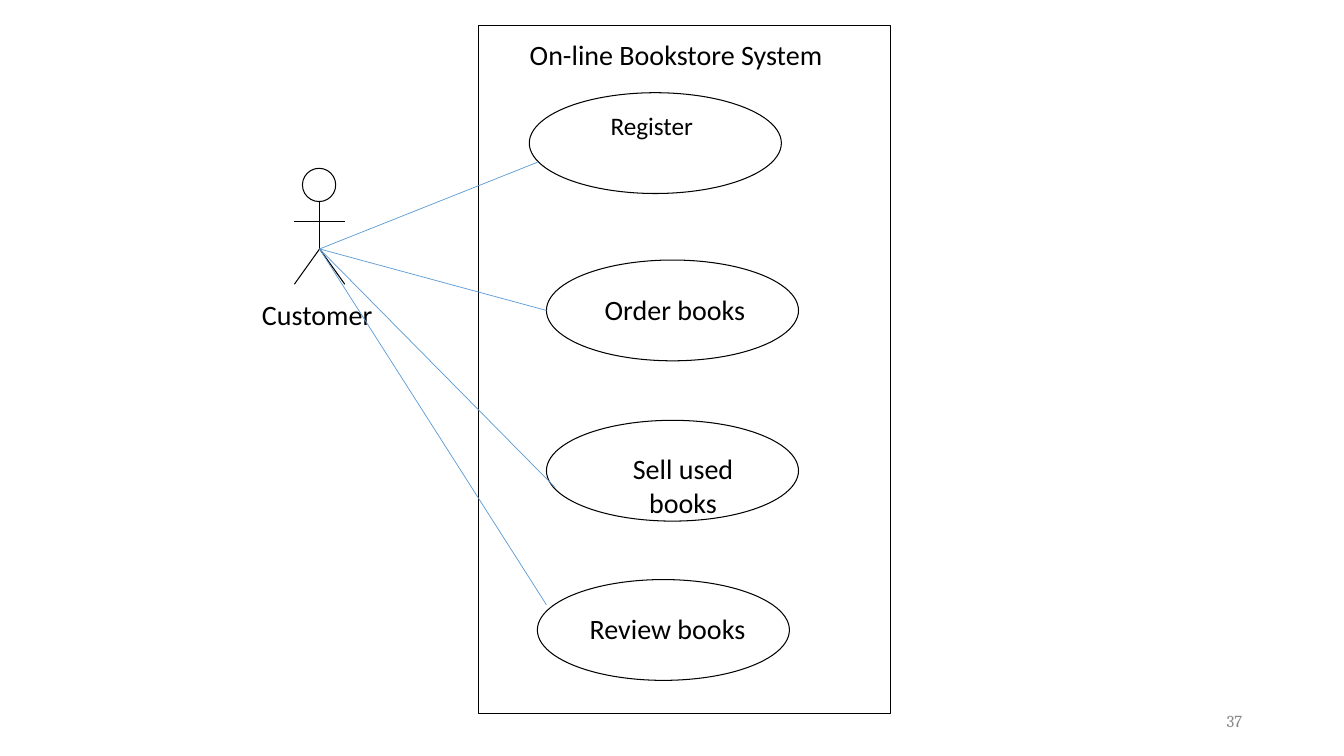
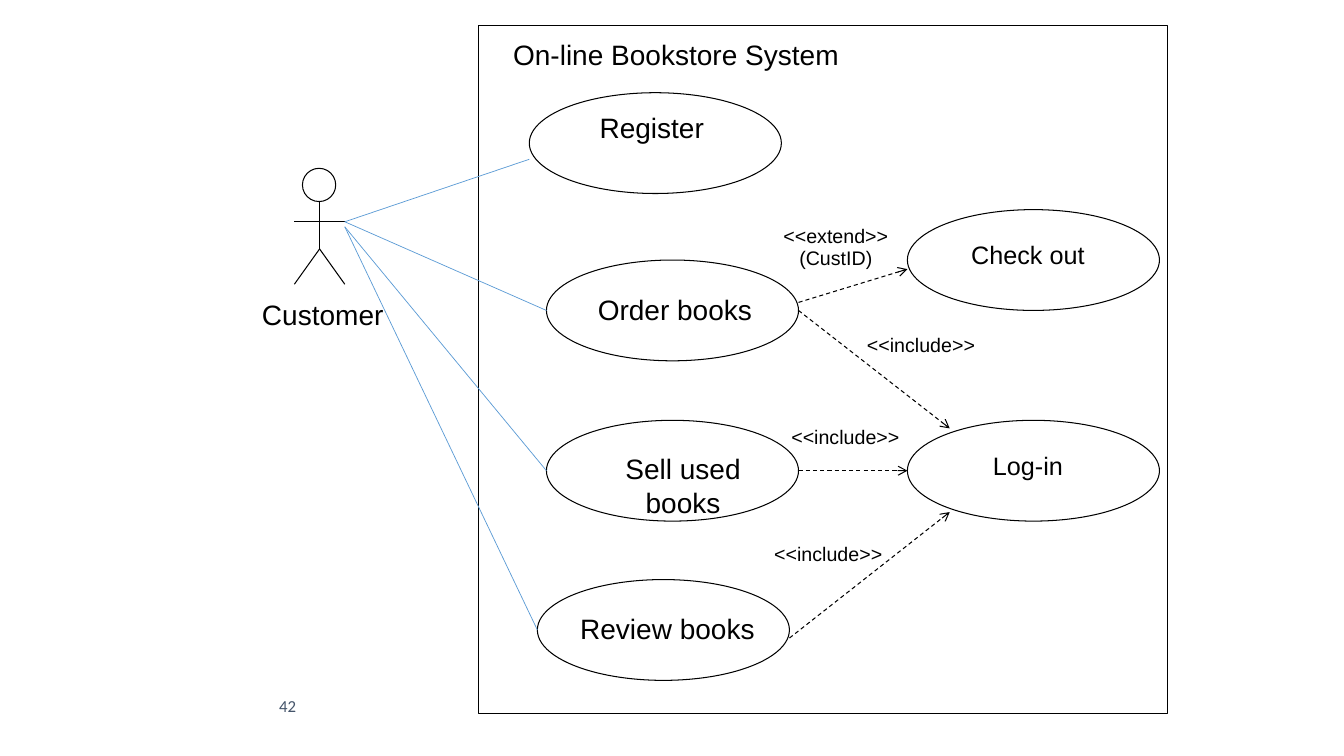
"""Build two use case diagrams of an on-line bookstore."""
from lxml.etree import SubElement
from pptx import Presentation
from pptx.dml.color import RGBColor
from pptx.enum.dml import MSO_LINE
from pptx.enum.shapes import MSO_CONNECTOR, MSO_SHAPE
from pptx.enum.text import MSO_ANCHOR, MSO_AUTO_SIZE, PP_ALIGN
from pptx.oxml.ns import qn
from pptx.util import Inches, Pt

COLOURS = {"ink": "000000", "link": "5B9BD5", "grey": "898989", "slate": "44546A"}
CASE_SIZE = (2.5, 1)
BODY = [
    ((3.17, 1.99), (3.17, 2.47)),
    ((3.17, 2.47), (2.92, 2.82)),
    ((3.17, 2.47), (3.42, 2.82)),
    ((2.92, 2.2), (3.42, 2.2)),
]
CASES = [
    ("Order books", (5.42, 2.58), (5.81, 2.85, 1.77, 0.44)),
    ("Sell used books", (5.42, 4.17), (5.89, 4.43, 1.77, 0.77)),
    ("Review books", (5.33, 5.75), (5.58, 6.02, 2.08, 0.44)),
]


def set_values(target, values):
    for name, value in values.items():
        setattr(target, name, value)


class Diagram:
    def __init__(self, presentation, font):
        self.slide = presentation.slides.add_slide(presentation.slide_layouts[6])
        self.font = font

    def text(self, lines, box, size=20, colour="ink", font=None,
             align=PP_ALIGN.CENTER, frame_format=None, spacing=None):
        shape = self.slide.shapes.add_textbox(*map(Inches, box))
        frame = shape.text_frame
        set_values(frame, {"word_wrap": True, "auto_size": MSO_AUTO_SIZE.SHAPE_TO_FIT_TEXT,
                           **(frame_format or {})})
        frame.text = lines
        for paragraph in frame.paragraphs:
            set_values(paragraph, {"alignment": align, **(spacing or {})})
            set_values(paragraph.font, {"name": font or self.font, "size": Pt(size)})
            paragraph.font.color.rgb = RGBColor.from_string(COLOURS[colour])
        return frame

    def outline(self, kind, box, shapes=None):
        shapes = shapes or self.slide.shapes
        shape = shapes.add_shape(kind, *map(Inches, box))
        shape.shadow.inherit = False
        shape.fill.background()
        shape.line.color.rgb = RGBColor.from_string(COLOURS["ink"])
        shape.line.width = Pt(0.75)

    def line(self, start, end, colour="ink", width=0.75, shapes=None):
        shapes = shapes or self.slide.shapes
        connector = shapes.add_connector(MSO_CONNECTOR.STRAIGHT, *map(Inches, start + end))
        connector.line.color.rgb = RGBColor.from_string(COLOURS[colour])
        connector.line.width = Pt(width)
        SubElement(connector._element.spPr, qn("a:effectLst"))
        return connector

    def arrow(self, start, end):
        line = self.line(start, end).line
        line.dash_style = MSO_LINE.DASH
        SubElement(line._get_or_add_ln(), qn("a:tailEnd"), type="arrow")

    def links(self, pairs):
        for start, end in pairs:
            self.line(start, end, "link", 0.5)

    def actor(self):
        shapes = self.slide.shapes.add_group_shape().shapes
        self.outline(MSO_SHAPE.OVAL, (3, 1.67, 0.33, 0.33), shapes)
        for start, end in BODY:
            self.line(start, end, shapes=shapes)
        self.text("Customer", (2.5, 2.9, 1.5, 0.43), align=PP_ALIGN.LEFT)

    def case(self, label, corner, label_box, size=20):
        self.outline(MSO_SHAPE.OVAL, corner + CASE_SIZE)
        self.text(label, label_box, size)

    def system(self, width, register_size):
        self.actor()
        self.case("Register", (5.25, 0.92), (5.58, 1.05, 1.77, 0.4), register_size)
        for label, corner, label_box in CASES:
            self.case(label, corner, label_box)
        self.outline(MSO_SHAPE.RECTANGLE, (4.75, 0.25, width, 6.83))
        self.text("On-line Bookstore System", (4.83, 0.32, 3.75, 0.43))

    def number(self, value, box, colour, font, align):
        self.text(value, box, 12, colour, font, align,
                  {"auto_size": MSO_AUTO_SIZE.NONE, "vertical_anchor": MSO_ANCHOR.MIDDLE})


def build_basic(presentation):
    diagram = Diagram(presentation, "Calibri")
    diagram.number("37", (9.42, 6.95, 3, 0.4), "grey", "Cambria", PP_ALIGN.RIGHT)
    diagram.system(4.08, 18)
    ends = [(5.33, 1.61), (5.42, 3.08), (5.5, 4.83), (5.42, 6)]
    diagram.links([((3.17, 2.47), end) for end in ends])


def build_extended(presentation):
    diagram = Diagram(presentation, "Arial")
    diagram.number("42", (2.67, 6.75, 4.33, 0.5), "slate", "Calibri", PP_ALIGN.LEFT)
    diagram.system(6.83, 20)
    for label, top in (("Log-in", 4.17), ("Check out", 2.08)):
        diagram.case(label, (9, top), (9.31, top + 0.25, 1.77, 0.4), 18)
    for start, end in (
        ((7.92, 3.08), (9.42, 4.25)),
        ((7.92, 4.67), (9, 4.67)),
        ((7.83, 6.33), (9.42, 5.08)),
        ((7.92, 3), (9, 2.67)),
    ):
        diagram.arrow(start, end)
    for left, top in ((8.5, 3.25), (7.75, 4.17), (7.58, 5.33)):
        diagram.text("<<include>>", (left, top, 1.58, 0.34), 14, align=PP_ALIGN.LEFT)
    extend = diagram.text("<<extend>>\n(CustID)", (7.5, 2.21, 1.58, 0.51), 14,
                          spacing={"line_spacing": 0.85})
    extend.paragraphs[1].space_before = Pt(1)
    diagram.links([
        ((3.42, 2.2), (5.25, 1.58)),
        ((3.42, 2.2), (5.42, 3.08)),
        ((3.42, 2.25), (5.42, 4.67)),
        ((3.42, 2.25), (5.33, 6.25)),
    ])


def main():
    presentation = Presentation()
    set_values(presentation, {"slide_width": Inches(13.33), "slide_height": Inches(7.5)})
    build_basic(presentation)
    build_extended(presentation)
    presentation.save("out.pptx")


if __name__ == "__main__":
    main()
